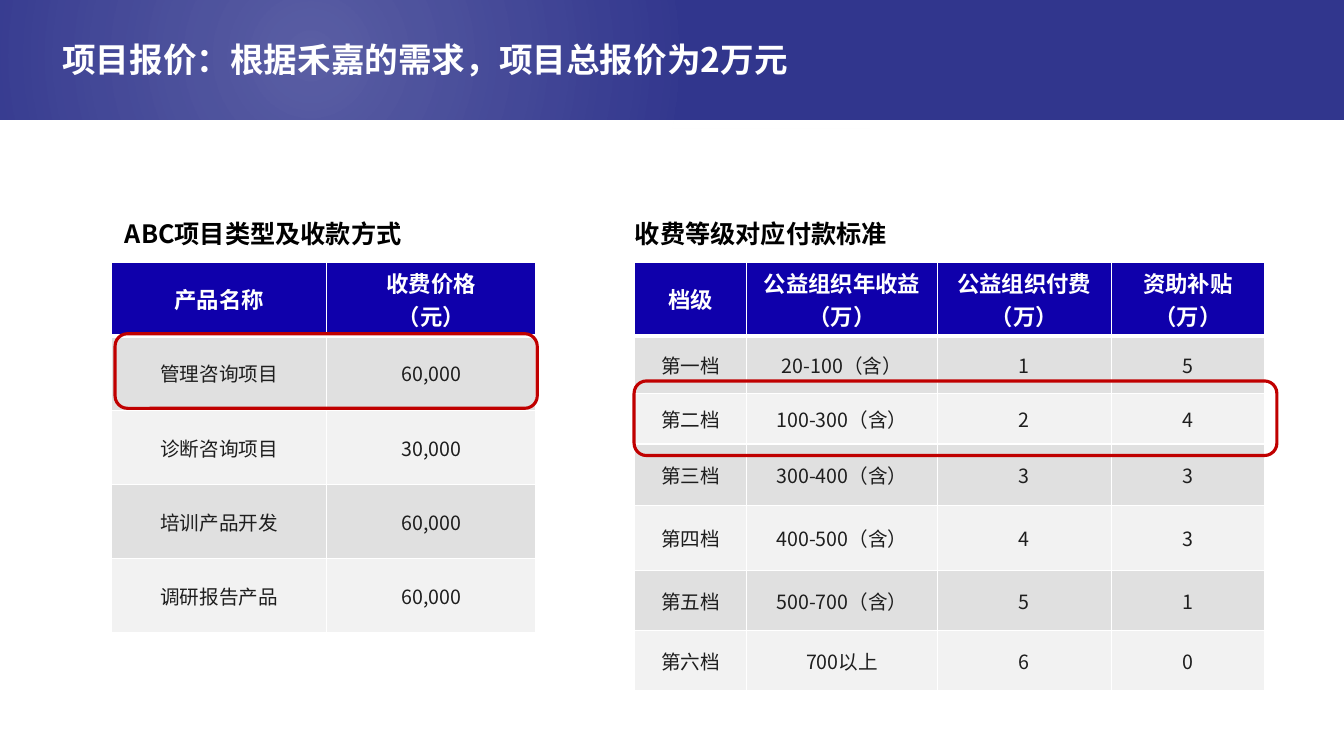
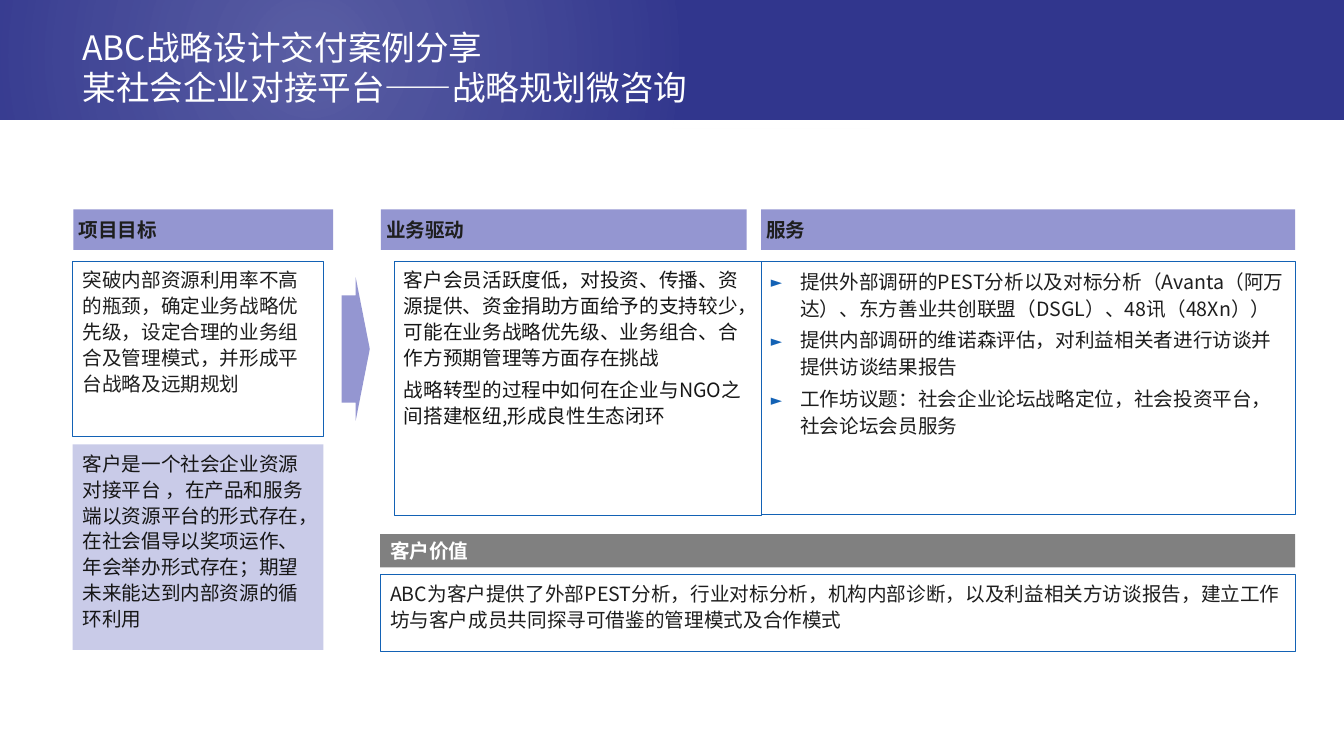
from dataclasses import dataclass

from lxml.etree import SubElement
from pptx import Presentation
from pptx.dml.color import RGBColor as Rgb
from pptx.enum.shapes import MSO_SHAPE as Preset
from pptx.enum.text import MSO_ANCHOR as Anchor, PP_ALIGN as Align
from pptx.oxml import parse_xml
from pptx.oxml.ns import nsdecls, qn
from pptx.util import Cm, Pt


@dataclass(frozen=True)
class Theme:
    font: str = "Noto Sans CJK SC"
    white: str = "FFFFFF"
    black: str = "000000"
    ink: str = "1E1E1E"
    dark_ink: str = "161616"
    band: str = "31368D"
    table_head: str = "0F00AB"
    stripes: tuple = ("E0E0E0", "F2F2F2")
    lilac: str = "9496D1"
    pale_lilac: str = "C9CBE8"
    grey: str = "808080"
    outline: str = "1362B5"
    highlight: str = "C00000"
    title_size: int = 24
    heading_size: int = 18
    table_head_size: int = 16
    body_size: int = 14


def cms(lengths):
    return [Cm(length) for length in lengths]


class Deck:
    def __init__(self, theme):
        self.theme = theme
        self.deck = Presentation()
        self.deck.slide_width, self.deck.slide_height = Cm(33.87), Cm(19.05)
        self.slide = None

    def new_slide(self, title, at, spacing=1.0, bold=False):
        theme = self.theme
        self.slide = self.deck.slides.add_slide(self.deck.slide_layouts[6])
        self.shape((0, 0, 33.87, 3.02), fill=theme.band)
        self.glow((-6.27, -0.43, 28.19, 3.66))
        self.text(at, title, theme.title_size, theme.white, spacing=spacing,
                  bold=bold, frame_format={"vertical_anchor": Anchor.MIDDLE})

    def shape(self, at, preset=Preset.RECTANGLE, fill=None, line=None, width=0.25):
        shape = self.slide.shapes.add_shape(preset, *cms(at))
        shape.shadow.inherit = False
        if fill:
            shape.fill.solid()
            shape.fill.fore_color.rgb = Rgb.from_string(fill)
        else:
            shape.fill.background()
        if line:
            shape.line.color.rgb = Rgb.from_string(line)
            shape.line.width = Pt(width)
        else:
            shape.line.fill.background()
        return shape

    def glow(self, at):
        white = self.theme.white
        properties = self.shape(at, fill=white)._element.spPr
        stops = "".join(
            f'<a:gs pos="{place}000"><a:srgbClr val="{white}">'
            f'<a:alpha val="{alpha}000"/></a:srgbClr></a:gs>'
            for place, alpha in ((0, 20), (66, 0)))
        gradient = parse_xml(
            f'<a:gradFill {nsdecls("a")}><a:gsLst>{stops}</a:gsLst><a:path path="circle">'
            '<a:fillToRect l="50000" t="50000" r="50000" b="50000"/></a:path></a:gradFill>')
        properties.replace(properties.find(qn("a:solidFill")), gradient)

    def bullet(self, paragraph):
        properties = paragraph._p.get_or_add_pPr()
        properties.set("marL", str(Cm(0.74)))
        properties.set("indent", str(-Cm(0.74)))
        colour = SubElement(properties, qn("a:buClr"))
        SubElement(colour, qn("a:srgbClr"), val=self.theme.outline)
        SubElement(properties, qn("a:buSzPct"), val="75000")
        SubElement(properties, qn("a:buFont"), typeface=self.theme.font)
        SubElement(properties, qn("a:buChar"), char="►")

    def fill_frame(self, frame, text, size, colour, bold=False, spacing=1.0, gap=0,
                   align=Align.LEFT, bullets=False, frame_format=None):
        for name, value in {"word_wrap": True, **(frame_format or {})}.items():
            setattr(frame, name, value)
        for index, line in enumerate(text.split("\n")):
            paragraph = frame.add_paragraph() if index else frame.paragraphs[0]
            if bullets:
                self.bullet(paragraph)
            paragraph_format = {"alignment": align, "line_spacing": spacing,
                                "space_before": Pt(gap if index else 0)}
            for name, value in paragraph_format.items():
                setattr(paragraph, name, value)
            run = paragraph.add_run()
            run.text = line
            run.font.color.rgb = Rgb.from_string(colour)
            font_format = {"name": self.theme.font, "size": Pt(size), "bold": bold}
            for name, value in font_format.items():
                setattr(run.font, name, value)
            SubElement(run._r.get_or_add_rPr(), qn("a:ea"), typeface=self.theme.font)

    def text(self, at, text, size, colour, **style):
        box = self.slide.shapes.add_textbox(*cms(at))
        self.fill_frame(box.text_frame, text, size, colour, **style)

    def heading(self, at, text):
        margins = ("margin_left", "margin_top", "margin_right", "margin_bottom")
        self.text(at, text, self.theme.heading_size, self.theme.black, bold=True,
                  frame_format=dict.fromkeys(margins, 0))

    def panel(self, at, text, colour, fill=None, spacing=1.1, gap=4.5, bullets=False):
        line = None if fill else self.theme.outline
        panel = self.shape(at, fill=fill, line=line)
        self.fill_frame(panel.text_frame, text, self.theme.body_size, colour,
                        spacing=spacing, gap=gap, bullets=bullets,
                        frame_format={"vertical_anchor": Anchor.TOP})

    def label(self, at, text, fill, colour, inset=0.13):
        label = self.shape(at, fill=fill)
        self.fill_frame(label.text_frame, text, self.theme.body_size, colour, bold=True,
                        frame_format={"vertical_anchor": Anchor.MIDDLE,
                                      "margin_left": Cm(inset)})

    def highlight(self, at):
        self.shape(at, Preset.ROUNDED_RECTANGLE, line=self.theme.highlight, width=2.25)

    def arrow(self, at):
        arrow = self.shape(at, Preset.RIGHT_ARROW, fill=self.theme.lilac)
        arrow.adjustments[0], arrow.adjustments[1] = 0.75, 0.5

    def borders(self, cell, top, bottom):
        properties = cell._tc.get_or_add_tcPr()
        for index, (side, width) in enumerate(zip("LRTB", (1, 1, top, bottom))):
            properties.insert(index, parse_xml(
                f'<a:ln{side} {nsdecls("a")} w="{Pt(width)}"><a:solidFill>'
                f'<a:srgbClr val="{self.theme.white}"/></a:solidFill></a:ln{side}>'))

    def table(self, left, top, widths, heights, rows):
        theme = self.theme
        size = cms((left, top, sum(widths), sum(heights)))
        table = self.slide.shapes.add_table(len(rows), len(widths), *size).table
        table.horz_banding = False
        for column, width in zip(table.columns, widths):
            column.width = Cm(width)
        for index, (row, height, values) in enumerate(zip(table.rows, heights, rows)):
            row.height = Cm(height)
            head = index == 0
            fill = theme.table_head if head else theme.stripes[(index - 1) % 2]
            for cell, value in zip(row.cells, values):
                cell.fill.solid()
                cell.fill.fore_color.rgb = Rgb.from_string(fill)
                cell.vertical_anchor = Anchor.MIDDLE
                self.borders(cell, 3 if index == 1 else 1, 3 if head else 1)
                self.fill_frame(cell.text_frame, value,
                                theme.table_head_size if head else theme.body_size,
                                theme.white if head else theme.ink,
                                bold=head, align=Align.CENTER)


def quote_slide(deck):
    deck.new_slide("项目报价：根据禾嘉的需求，项目总报价为2万元",
                   (1.32, 0.97, 27.9, 1.17), spacing=0.9, bold=True)
    table_top, heading_top, head_height = 6.6, 5.49, 1.87
    deck.heading((3.15, heading_top, 8, 0.76), "ABC项目类型及收款方式")
    deck.heading((16, heading_top, 8, 0.76), "收费等级对应付款标准")
    prices = [
        ("产品名称", "收费价格\n（元）"),
        ("管理咨询项目", "60,000"),
        ("诊断咨询项目", "30,000"),
        ("培训产品开发", "60,000"),
        ("调研报告产品", "60,000"),
    ]
    deck.table(2.82, table_top, (5.41, 5.28), [head_height] * len(prices), prices)
    tiers = [
        ("档级", "公益组织年收益\n（万）", "公益组织付费\n（万）", "资助补贴\n（万）"),
        ("第一档", "20-100（含）", "1", "5"),
        ("第二档", "100-300（含）", "2", "4"),
        ("第三档", "300-400（含）", "3", "3"),
        ("第四档", "400-500（含）", "4", "3"),
        ("第五档", "500-700（含）", "5", "1"),
        ("第六档", "700以上", "6", "0"),
    ]
    deck.table(16, table_top, (2.82, 4.8, 4.39, 3.86),
               (head_height, 1.45, 1.27, 1.55, 1.63, 1.52, 1.52), tiers)
    deck.highlight((2.9, 8.41, 10.64, 1.88))
    deck.highlight((15.98, 9.6, 16.2, 1.88))


def case_slide(deck):
    theme = deck.theme
    deck.new_slide("ABC战略设计交付案例分享\n某社会企业对接平台——战略规划微咨询",
                   (1.83, 0.58, 25.4, 2.21))
    panel_top = 6.58
    deck.panel((1.83, 11.2, 6.32, 5.18),
               "客户是一个社会企业资源对接平台 ，在产品和服务端以资源平台的形式存在，"
               "在社会倡导以奖项运作、年会举办形式存在；期望未来能达到内部资源的循环利用",
               theme.dark_ink, fill=theme.pale_lilac)
    deck.panel((9.58, 14.48, 23.06, 1.93),
               "ABC为客户提供了外部PEST分析，行业对标分析，机构内部诊断，以及利益相关方访谈报告，"
               "建立工作坊与客户成员共同探寻可借鉴的管理模式及合作模式", theme.ink)
    deck.panel((9.93, panel_top, 9.26, 6.4),
               "客户会员活跃度低，对投资、传播、资源提供、资金捐助方面给予的支持较少，"
               "可能在业务战略优先级、业务组合、合作方预期管理等方面存在挑战\n"
               "战略转型的过程中如何在企业与NGO之间搭建枢纽,形成良性生态闭环", theme.dark_ink)
    deck.panel((19.18, panel_top, 13.46, 6.38),
               "提供外部调研的PEST分析以及对标分析（Avanta（阿万达）、"
               "东方善业共创联盟（DSGL）、48讯（48Xn））\n"
               "提供内部调研的维诺森评估，对利益相关者进行访谈并提供访谈结果报告\n"
               "工作坊议题：社会企业论坛战略定位，社会投资平台，社会论坛会员服务",
               theme.ink, spacing=1.15, gap=3.4, bullets=True)
    deck.arrow((8.61, 6.99, 0.71, 3.61))
    deck.panel((1.83, panel_top, 6.32, 4.42),
               "突破内部资源利用率不高的瓶颈，确定业务战略优先级，"
               "设定合理的业务组合及管理模式，并形成平台战略及远期规划", theme.ink)
    for left, width, topic in ((1.85, 6.55, "项目目标"), (9.6, 9.22, "业务驱动"),
                               (19.18, 13.46, "服务")):
        deck.label((left, 5.28, width, 1.02), topic, theme.lilac, theme.ink)
    deck.label((9.58, 13.46, 23.06, 0.84), "客户价值", theme.grey, theme.white, inset=0.25)


def main():
    proposal = Deck(Theme())
    quote_slide(proposal)
    case_slide(proposal)
    proposal.deck.save("out.pptx")


if __name__ == "__main__":
    main()
